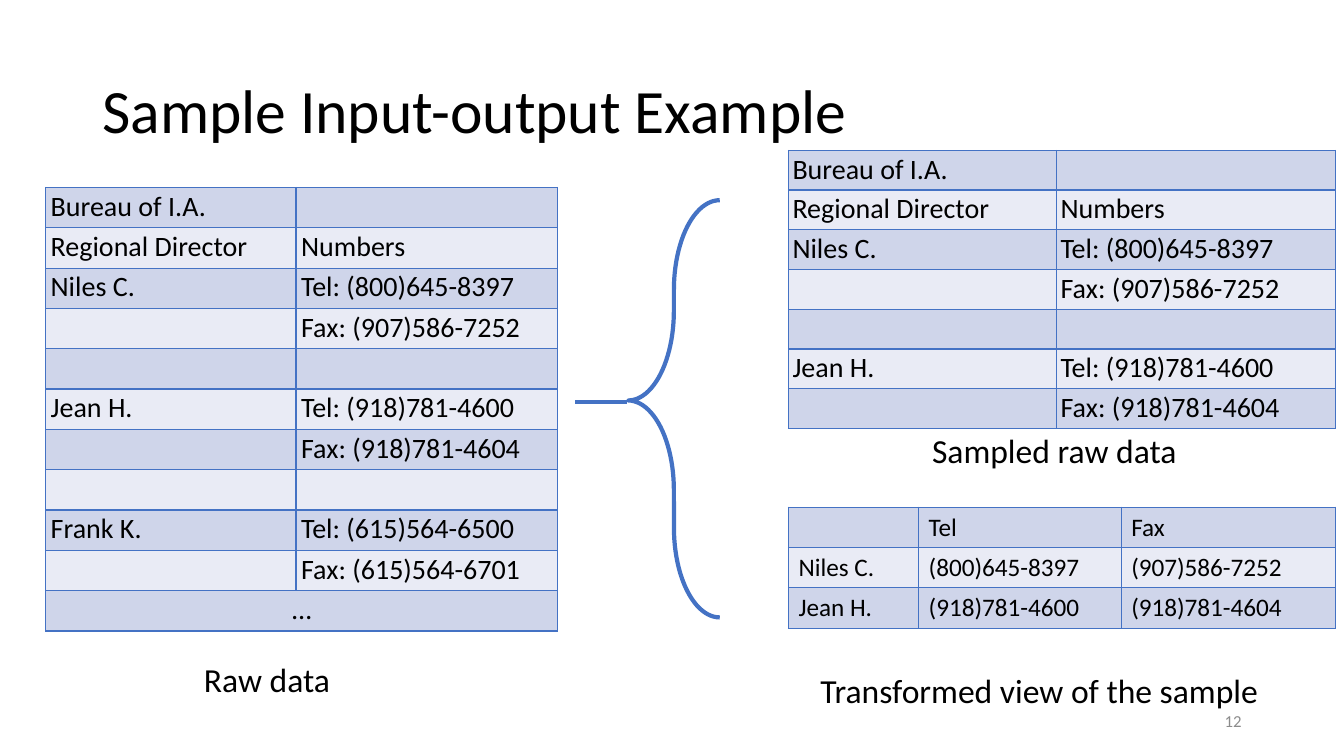
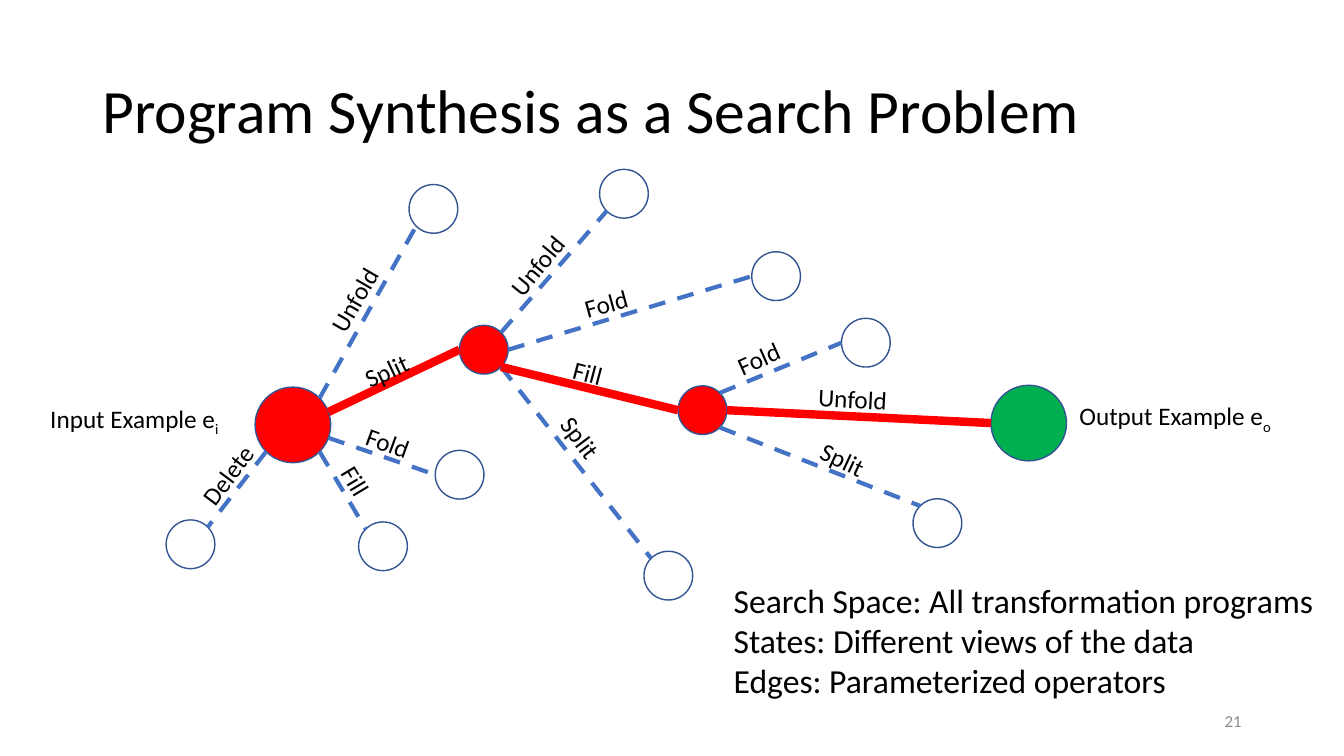
from dataclasses import dataclass
from math import cos, radians, sin
from typing import NamedTuple, Optional

from lxml.etree import SubElement
from pptx import Presentation
from pptx.dml.color import RGBColor
from pptx.enum.dml import MSO_LINE
from pptx.enum.shapes import MSO_CONNECTOR, MSO_SHAPE
from pptx.enum.text import MSO_ANCHOR as Anchor, PP_ALIGN as Align
from pptx.oxml.ns import qn
from pptx.util import Pt


@dataclass(frozen=True)
class Theme:
    font: str = "Calibri"
    text: str = "000000"
    muted: str = "8C8C8C"
    accent: str = "4472C4"
    outline: str = "325491"
    solution: str = "FF0000"
    goal: str = "00B050"
    bands: tuple[str, str] = ("CFD5EA", "E9EBF5")
    title_size: float = 44
    caption_size: float = 24
    table_size: float = 20
    label_size: float = 18
    number_size: float = 12


THEME = Theme()


class Box(NamedTuple):
    left: float
    top: float
    width: float
    height: float

    def lengths(self) -> list[Pt]:
        return [Pt(value) for value in self]


TITLE_BOX = Box(66, 28.8, 828, 104.4)
NUMBER_BOX = Box(678, 500.5, 216, 28.8)


@dataclass(frozen=True)
class Grid:
    left: float
    top: float
    columns: tuple[float, ...]
    row_height: float
    rows: list[tuple[str, ...]]
    size: float
    margin_x: float
    margin_y: float


@dataclass(frozen=True)
class Node:
    x: float
    y: float
    diameter: float = 34.8
    fill: Optional[str] = None

    def rim(self, angle: float) -> tuple[float, float]:
        """Point on the circle, clockwise from the right, in degrees."""
        radius = self.diameter / 2
        return (self.x + radius * cos(radians(angle)),
                self.y + radius * sin(radians(angle)))


class Edge(NamedTuple):
    start: str
    start_angle: float
    end: str
    end_angle: float
    operator: str
    label_left: float
    label_top: float
    rotation: float
    on_path: bool = False


RAW_ROWS = [
    ("Bureau of I.A.", ""),
    ("Regional Director", "Numbers"),
    ("Niles C.", "Tel: (800)645-8397"),
    ("", "Fax: (907)586-7252"),
    ("", ""),
    ("Jean H.", "Tel: (918)781-4600"),
    ("", "Fax: (918)781-4604"),
    ("", ""),
    ("Frank K.", "Tel: (615)564-6500"),
    ("", "Fax: (615)564-6701"),
    ("…", ""),
]
VIEW_ROWS = [
    ("", "Tel", "Fax"),
    ("Niles C.", "(800)645-8397", "(907)586-7252"),
    ("Jean H.", "(918)781-4600", "(918)781-4604"),
]
RAW_GRID = Grid(32.6, 133.9, (178.9, 187), 28.8, RAW_ROWS,
                THEME.table_size, 3.6, 1.44)
SAMPLE_GRID = Grid(563.2, 107.4, (191.5, 199), 28.4, RAW_ROWS[:7],
                   THEME.table_size, 2.9, 1.44)
VIEW_GRID = Grid(563.2, 362.2, (93, 144.7, 153.3), 28.8, VIEW_ROWS,
                 THEME.label_size, 7.2, 3.6)
CAPTIONS = [
    ("Raw data", Box(98.6, 467.3, 184.3, 36)),
    ("Sampled raw data", Box(652.3, 303.8, 201.6, 36)),
    ("Transformed view of the sample", Box(558.7, 475.2, 367.2, 36)),
]

NODES = {
    "input": Node(209.2, 303.5, 54, THEME.solution),
    "output": Node(734.8, 302.2, 54, THEME.goal),
    "split": Node(345.6, 249.8, fill=THEME.solution),
    "split fill": Node(501.8, 293, fill=THEME.solution),
    "unfold": Node(309.6, 149.2),
    "fill": Node(273.6, 390.2),
    "delete": Node(136.1, 388.8),
    "fold": Node(328.3, 339.1),
    "split unfold": Node(445.7, 138.4),
    "split fold": Node(554.4, 197.3),
    "split split": Node(477.4, 411.2),
    "split fill fold": Node(618.5, 244.8),
    "split fill split": Node(669.6, 373.7),
}
EDGES = [
    Edge("input", 135, "delete", -45, "Delete", 128.2, 318.2, 306.9),
    Edge("input", 45, "fill", -135, "Fill", 226.1, 347.8, 59.1),
    Edge("input", 20, "fold", 180, "Fold", 253.4, 307.4, 20.1),
    Edge("input", -20, "split", 180, "Split", 251.3, 243.4, 335.1, True),
    Edge("input", -45, "unfold", 135, "Unfold", 217.4, 193, 300),
    Edge("split", -45, "split unfold", 135, "Unfold", 349.2, 169.2, 309.4),
    Edge("split", 45, "split split", -135, "Split", 385.2, 311, 53),
    Edge("split", 45, "split fill", 180, "Fill", 401.8, 257, 14.8, True),
    Edge("split", 0, "split fold", 180, "Fold", 409.7, 198, 344.6),
    Edge("split fill", 0, "output", 180, "Unfold", 577.4, 270.7, 3, True),
    Edge("split fill", -45, "split fill fold", 180, "Fold", 517.7, 234.7, 336.1),
    Edge("split fill", 45, "split fill split", -135, "Split", 577.4, 320.4, 25),
]
END_LABELS = [
    ("Input Example e", "i", Box(28.8, 284.4, 140.4, 29)),
    ("Output Example e", "o", Box(763.9, 282.6, 185.8, 29)),
]
SEARCH_TERMS = [
    "Search Space: All transformation programs",
    "States: Different views of the data",
    "Edges: Parameterized operators",
]


def color(value: str) -> RGBColor:
    return RGBColor.from_string(value)


def style_paragraph(paragraph, size: float, fill: str = THEME.text,
                    align: Align = Align.LEFT) -> None:
    paragraph.alignment = align
    font = paragraph.font
    font.name, font.size = THEME.font, Pt(size)
    font.color.rgb = color(fill)


def add_text(slide, box: Box, lines: list[str], size: float,
             fill: str = THEME.text, align: Align = Align.LEFT,
             anchor: Anchor = Anchor.TOP):
    shape = slide.shapes.add_textbox(*box.lengths())
    frame = shape.text_frame
    frame.word_wrap = True
    frame.vertical_anchor = anchor
    frame.text = "\n".join(lines)
    for paragraph in frame.paragraphs:
        style_paragraph(paragraph, size, fill, align)
    return shape


def add_slide(presentation, title: str, number: int):
    slide = presentation.slides.add_slide(presentation.slide_layouts[6])
    heading = add_text(slide, TITLE_BOX, [title], THEME.title_size,
                       anchor=Anchor.MIDDLE)
    heading.text_frame.paragraphs[0].line_spacing = 0.9
    add_text(slide, NUMBER_BOX, [str(number)], THEME.number_size, THEME.muted,
             Align.RIGHT, Anchor.MIDDLE)
    return slide


def set_line(shape, fill: str, width: float) -> None:
    shape.line.color.rgb = color(fill)
    shape.line.width = Pt(width)


def add_line(slide, start: tuple[float, float], end: tuple[float, float],
             fill: str, width: float, dashed: bool = False) -> None:
    ends = [Pt(value) for value in (*start, *end)]
    connector = slide.shapes.add_connector(MSO_CONNECTOR.STRAIGHT, *ends)
    set_line(connector, fill, width)
    if dashed:
        connector.line.dash_style = MSO_LINE.DASH
    SubElement(connector._element.spPr, qn("a:effectLst"))


def add_outline(slide, kind: MSO_SHAPE, box: Box, line: str, width: float,
                fill: Optional[str] = None):
    shape = slide.shapes.add_shape(kind, *box.lengths())
    shape.shadow.inherit = False
    if fill:
        shape.fill.solid()
        shape.fill.fore_color.rgb = color(fill)
    else:
        shape.fill.background()
    set_line(shape, line, width)
    return shape


def set_borders(cell) -> None:
    properties = cell._tc.get_or_add_tcPr()
    for position, side in enumerate(("a:lnL", "a:lnR", "a:lnT", "a:lnB")):
        border = SubElement(properties, qn(side), w=str(Pt(1)))
        solid = SubElement(border, qn("a:solidFill"))
        SubElement(solid, qn("a:srgbClr"), val=THEME.accent)
        properties.insert(position, border)


def add_grid(slide, grid: Grid):
    box = Box(grid.left, grid.top, sum(grid.columns),
              grid.row_height * len(grid.rows))
    table = slide.shapes.add_table(len(grid.rows), len(grid.columns),
                                   *box.lengths()).table
    table.first_row = table.horz_banding = False
    for column, width in zip(table.columns, grid.columns):
        column.width = Pt(width)
    for row_index, texts in enumerate(grid.rows):
        table.rows[row_index].height = Pt(grid.row_height)
        for column_index, text in enumerate(texts):
            cell = table.cell(row_index, column_index)
            cell.text = text
            cell.margin_left = cell.margin_right = Pt(grid.margin_x)
            cell.margin_top = cell.margin_bottom = Pt(grid.margin_y)
            style_paragraph(cell.text_frame.paragraphs[0], grid.size)
            cell.fill.solid()
            cell.fill.fore_color.rgb = color(THEME.bands[row_index % 2])
            set_borders(cell)
    return table


def build_example_slide(presentation) -> None:
    slide = add_slide(presentation, "Sample Input-output Example", 12)
    raw_table = add_grid(slide, RAW_GRID)
    last = len(RAW_ROWS) - 1
    ellipsis_cell = raw_table.cell(last, 0)
    ellipsis_cell.merge(raw_table.cell(last, 1))
    ellipsis_cell.text_frame.paragraphs[0].alignment = Align.CENTER
    add_grid(slide, SAMPLE_GRID)
    add_grid(slide, VIEW_GRID)
    for text, box in CAPTIONS:
        add_text(slide, box, [text], THEME.caption_size, align=Align.CENTER)
    brace = add_outline(slide, MSO_SHAPE.LEFT_BRACE,
                        Box(448.6, 143, 65.5, 298), THEME.accent, 3)
    brace.adjustments[0], brace.adjustments[1] = 0.98, 0.48
    add_line(slide, (447.8, 287), (411, 287), THEME.accent, 3)


def build_search_slide(presentation) -> None:
    slide = add_slide(presentation, "Program Synthesis as a Search Problem", 21)
    for node in NODES.values():
        radius = node.diameter / 2
        box = Box(node.x - radius, node.y - radius, node.diameter, node.diameter)
        add_outline(slide, MSO_SHAPE.OVAL, box, THEME.outline, 1, node.fill)
    for edge in EDGES:
        add_line(slide, NODES[edge.start].rim(edge.start_angle),
                 NODES[edge.end].rim(edge.end_angle),
                 THEME.solution if edge.on_path else THEME.accent,
                 6 if edge.on_path else 3, dashed=not edge.on_path)
    for edge in EDGES:
        label = add_text(slide, Box(edge.label_left, edge.label_top, 78.5, 29),
                         [edge.operator], THEME.label_size)
        label.rotation = edge.rotation
    for text, subscript, box in END_LABELS:
        label = add_text(slide, box, [text], THEME.label_size)
        run = label.text_frame.paragraphs[0].add_run()
        run.text = subscript
        run._r.get_or_add_rPr().set("baseline", "-25000")
    add_text(slide, Box(517, 410.4, 434.9, 94.3), SEARCH_TERMS,
             THEME.caption_size)


def main() -> None:
    presentation = Presentation()
    presentation.slide_width, presentation.slide_height = Pt(960), Pt(540)
    build_example_slide(presentation)
    build_search_slide(presentation)
    presentation.save("out.pptx")


if __name__ == "__main__":
    main()
